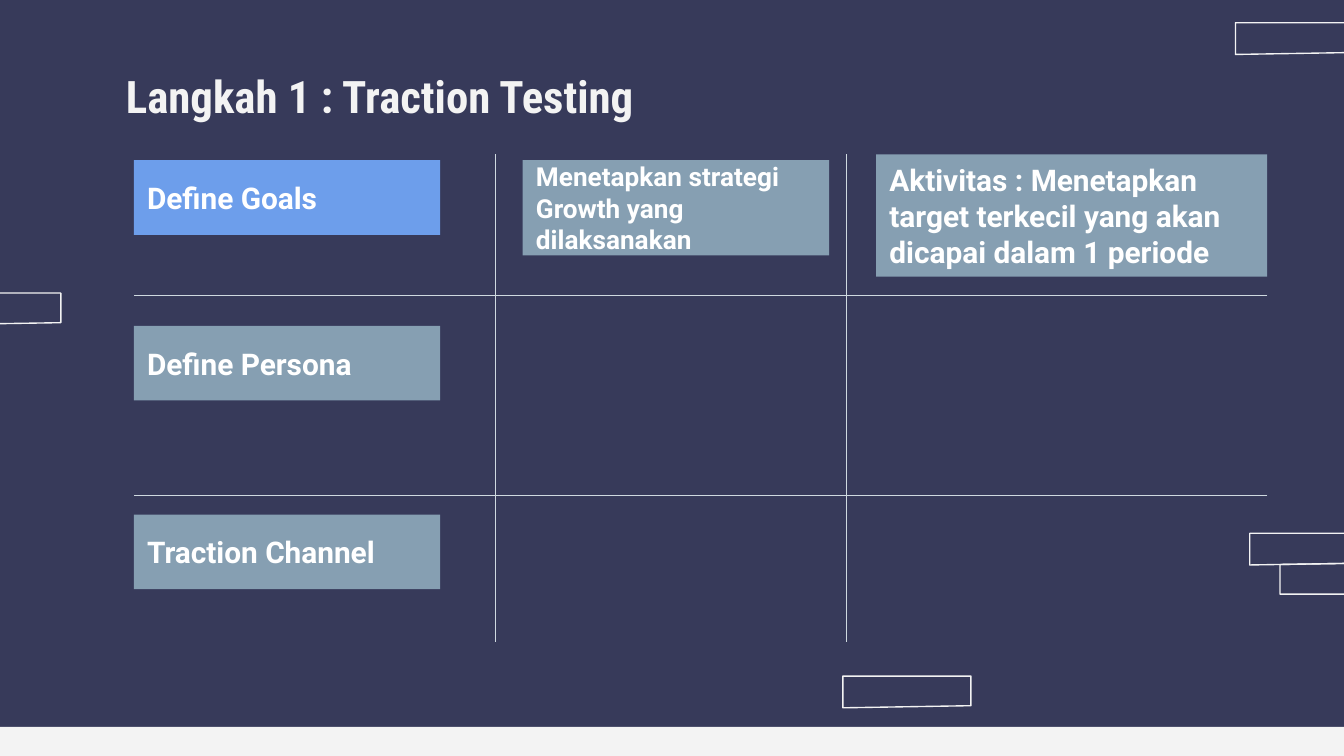
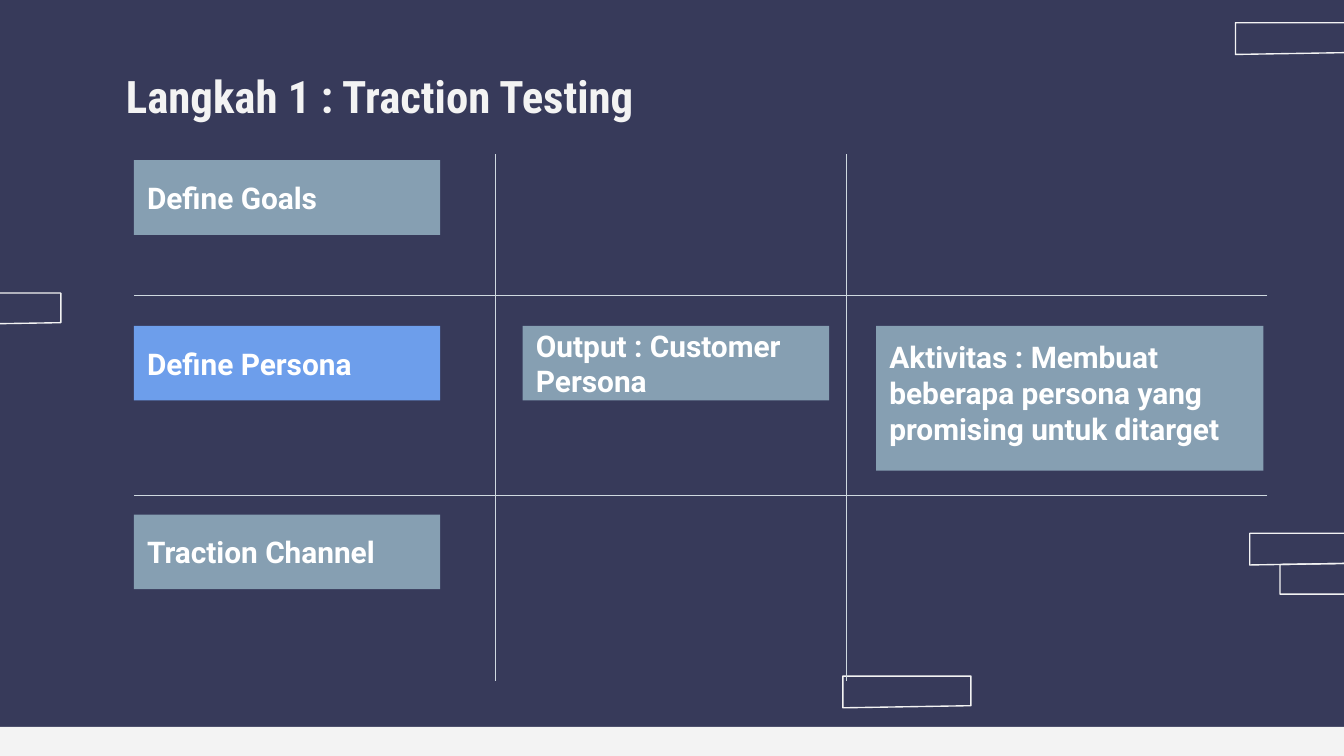
from lxml.etree import SubElement
from pptx import Presentation
from pptx.dml.color import RGBColor
from pptx.enum.shapes import MSO_CONNECTOR as Connector, MSO_SHAPE as Preset
from pptx.enum.text import MSO_ANCHOR as Anchor, MSO_AUTO_SIZE as AutoSize, PP_ALIGN as Align
from pptx.oxml.ns import qn
from pptx.util import Cm, Pt

NAVY = RGBColor(0x37, 0x3A, 0x5A)
PALE = RGBColor(0xF3, 0xF3, 0xF3)
WHITE = RGBColor(0xFF, 0xFF, 0xFF)
STEEL = RGBColor(0x86, 0x9F, 0xB2)
HIGHLIGHT = RGBColor(0x6D, 0x9E, 0xEB)
GRID = RGBColor(0xCF, 0xD9, 0xE0)

WIDTH, HEIGHT = 25.4, 14.29
BAND_TOP = 13.74
INSET = 0.25
OUTLINE = Pt(0.75)

# Left, top and rotation of each slanted box
SLANTED_BOXES = [(15.93, 12.78, 0), (24.19, 10.63, 180), (23.62, 10.08, 0),
                 (-1.27, 5.54, 0), (23.35, 0.43, 0)]
SLANT_WIDTH, SLANT_HEIGHT, SLANT = 2.42, 0.6, 0.04

STEPS = ["Define Goals", "Define Persona", "Traction Channel"]
STEP_TOPS = [3.03, 6.16, 9.73]
STEP_LEFT, OUTPUT_LEFT, ACTIVITY_LEFT = 2.53, 9.88, 16.56
CARD_WIDTH, CARD_HEIGHT = 5.79, 1.41
GRID_LEFT, GRID_RIGHT, GRID_TOP = 2.54, 23.95, 2.92
COLUMN_LINES, ROW_LINES = [9.37, 16.0], [5.59, 9.37]


class Deck:
    def __init__(self):
        self.presentation = Presentation()
        self.presentation.slide_width = Cm(WIDTH)
        self.presentation.slide_height = Cm(HEIGHT)
        self.slide = None

    def new_slide(self, title):
        self.slide = self.presentation.slides.add_slide(self.presentation.slide_layouts[5])
        self.slide.background.fill.solid()
        self.slide.background.fill.fore_color.rgb = NAVY
        for left, top, rotation in SLANTED_BOXES:
            self.slanted_box(left, top, rotation)
        self.rectangle(0, BAND_TOP, WIDTH, HEIGHT - BAND_TOP, PALE)
        self.title(title)

    def title(self, text):
        heading = self.slide.shapes.title
        heading.left, heading.top = Cm(2.13), Cm(1.04)
        heading.width, heading.height = Cm(17.75), Cm(1.6)
        self.set_text(heading.text_frame, text, "Roboto Condensed", 24, PALE, Anchor.TOP)

    def set_text(self, frame, text, font_name, size, color, anchor):
        frame.text = text
        frame.word_wrap = True
        frame.auto_size = AutoSize.NONE
        frame.vertical_anchor = anchor
        frame.margin_left = frame.margin_right = Cm(INSET)
        frame.margin_top = frame.margin_bottom = Cm(INSET)
        paragraph = frame.paragraphs[0]
        paragraph.alignment = Align.LEFT
        font = paragraph.font
        font.name, font.size, font.bold = font_name, Pt(size), True
        font.color.rgb = color

    def rectangle(self, left, top, width, height, color):
        box = self.slide.shapes.add_shape(
            Preset.RECTANGLE, Cm(left), Cm(top), Cm(width), Cm(height))
        box.shadow.inherit = False
        box.fill.solid()
        box.fill.fore_color.rgb = color
        box.line.fill.background()
        return box

    def card(self, text, left, top, width=CARD_WIDTH, height=CARD_HEIGHT,
             color=STEEL, size=16, anchor=Anchor.MIDDLE):
        box = self.rectangle(left, top, width, height, color)
        self.set_text(box.text_frame, text, "Roboto", size, WHITE, anchor)

    def slanted_box(self, left, top, rotation):
        """Outline a box whose bottom edge rises slightly to the right."""
        right, bottom = left + SLANT_WIDTH, top + SLANT_HEIGHT
        builder = self.slide.shapes.build_freeform(Cm(left), Cm(top))
        corners = [(right, top), (right, bottom - SLANT), (left, bottom)]
        builder.add_line_segments([(Cm(x), Cm(y)) for x, y in corners], close=True)
        box = builder.convert_to_shape()
        box.rotation = rotation
        box.shadow.inherit = False
        box.fill.background()
        box.line.color.rgb = PALE
        box.line.width = OUTLINE

    def line(self, x1, y1, x2, y2):
        rule = self.slide.shapes.add_connector(
            Connector.STRAIGHT, Cm(x1), Cm(y1), Cm(x2), Cm(y2))
        rule.line.color.rgb = GRID
        rule.line.width = OUTLINE
        SubElement(rule._element.spPr, qn("a:effectLst"))

    def step_grid(self, current, bottom):
        """Draw the grid and its steps, with the current step highlighted."""
        for x in COLUMN_LINES:
            self.line(x, GRID_TOP, x, bottom)
        for y in ROW_LINES:
            self.line(GRID_RIGHT, y, GRID_LEFT, y)
        for step, top in zip(STEPS, STEP_TOPS):
            self.card(step, STEP_LEFT, top, color=HIGHLIGHT if step == current else STEEL)


def main():
    deck = Deck()

    deck.new_slide("Langkah 1 : Traction Testing")
    deck.step_grid("Define Goals", bottom=12.14)
    deck.card("Menetapkan strategi Growth yang dilaksanakan",
              OUTPUT_LEFT, STEP_TOPS[0], height=1.8, size=14)
    deck.card("Aktivitas : Menetapkan target terkecil yang akan dicapai dalam 1 periode",
              ACTIVITY_LEFT, GRID_TOP, width=7.39, height=2.31)

    deck.new_slide("Langkah 1 : Traction Testing")
    deck.step_grid("Define Persona", bottom=12.88)
    deck.card("Output : Customer Persona", OUTPUT_LEFT, STEP_TOPS[1])
    deck.card("Aktivitas : Membuat beberapa persona yang promising untuk ditarget",
              ACTIVITY_LEFT, STEP_TOPS[1], width=7.32, height=2.74, anchor=Anchor.TOP)

    deck.presentation.save("out.pptx")


if __name__ == "__main__":
    main()
